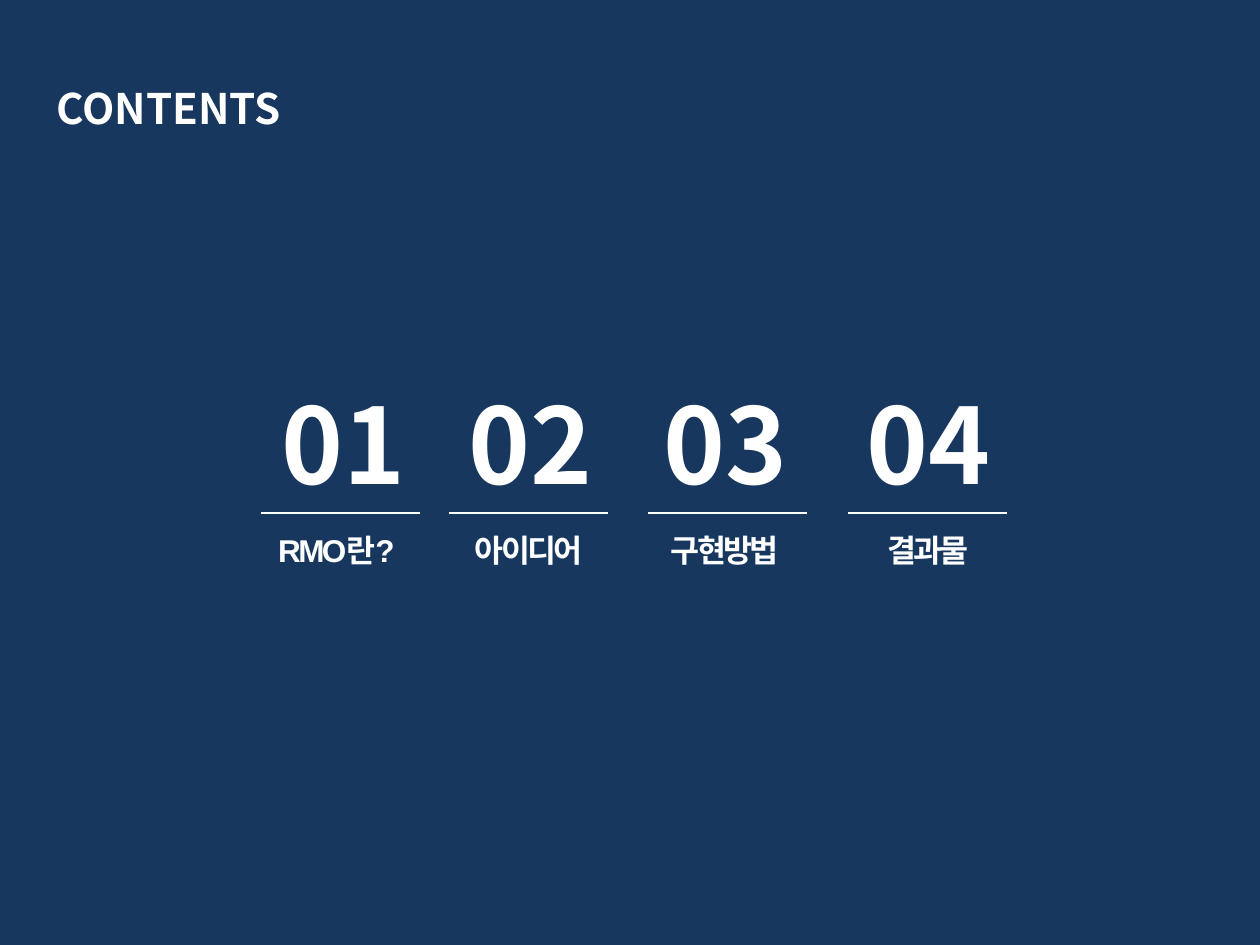
from pptx import Presentation
from pptx.dml.color import RGBColor
from pptx.enum.shapes import MSO_CONNECTOR
from pptx.enum.text import MSO_ANCHOR, MSO_AUTO_SIZE, PP_ALIGN
from pptx.oxml.ns import qn
from pptx.util import Inches, Pt

NAVY, WHITE = "17375E", "FFFFFF"
HEADING_FONT, LABEL_FONT = "Noto Sans CJK KR", "Arial"

# Section box left, then number offset, label offset and label width
SECTIONS = [
    ("01", "RMO란?", 261, -3, -19, 189),
    ("02", "아이디어", 449, -4, -34, 228),
    ("03", "구현방법", 648, -8, -37, 228),
    ("04", "결과물", 848, -5, -49, 258),
]
SECTION_TOP, SECTION_WIDTH = 373, 159
NUMBER_WIDTH, NUMBER_HEIGHT = 170, 140
LABEL_GAP, LABEL_HEIGHT = 12, 50


def px(length):
    return Inches(length / 126)


def color(hex_code):
    return RGBColor.from_string(hex_code)


def write(holder, text, font, size, align, anchor=MSO_ANCHOR.MIDDLE):
    frame = holder.text_frame
    frame.word_wrap = True
    frame.auto_size = MSO_AUTO_SIZE.NONE
    frame.vertical_anchor = anchor
    paragraph = frame.paragraphs[0]
    paragraph.text = text
    paragraph.alignment = align
    paragraph.font.name = font
    paragraph.font.size = Pt(size)
    paragraph.font.bold = True
    paragraph.font.color.rgb = color(WHITE)
    return paragraph


def add_heading(slide, left, top, width, height):
    heading = slide.shapes.title
    heading.left, heading.top = px(left), px(top)
    heading.width, heading.height = px(width), px(height)
    write(heading, "CONTENTS", HEADING_FONT, 24, PP_ALIGN.LEFT)


def add_section(slide, left, top, width, number, label,
                number_offset, label_offset, label_width):
    # Large number
    number_box = slide.shapes.add_textbox(
        px(left + number_offset), px(top), px(NUMBER_WIDTH), px(NUMBER_HEIGHT))
    write(number_box, number, HEADING_FONT, 60, PP_ALIGN.CENTER)

    # Rule below the number
    rule_top = top + NUMBER_HEIGHT
    rule = slide.shapes.add_connector(
        MSO_CONNECTOR.STRAIGHT, px(left), px(rule_top), px(left + width), px(rule_top))
    rule.line.color.rgb = color(WHITE)
    rule.line.width = Pt(0.75)
    properties = rule._element.spPr
    properties.append(properties.makeelement(qn("a:effectLst"), {}))

    # Section label with tight letter spacing
    label_box = slide.shapes.add_textbox(
        px(left + label_offset), px(rule_top + LABEL_GAP), px(label_width), px(LABEL_HEIGHT))
    paragraph = write(label_box, label, LABEL_FONT, 18, PP_ALIGN.CENTER, MSO_ANCHOR.TOP)
    paragraph.runs[0]._r.get_or_add_rPr().set("spc", "-150")


def main():
    deck = Presentation()
    deck.slide_width, deck.slide_height = px(1260), px(945)
    slide = deck.slides.add_slide(deck.slide_layouts[5])
    slide.background.fill.solid()
    slide.background.fill.fore_color.rgb = color(NAVY)

    add_heading(slide, 44, 76, 576, 63)
    for number, label, left, *offsets in SECTIONS:
        add_section(slide, left, SECTION_TOP, SECTION_WIDTH, number, label, *offsets)

    deck.save("out.pptx")


if __name__ == "__main__":
    main()
